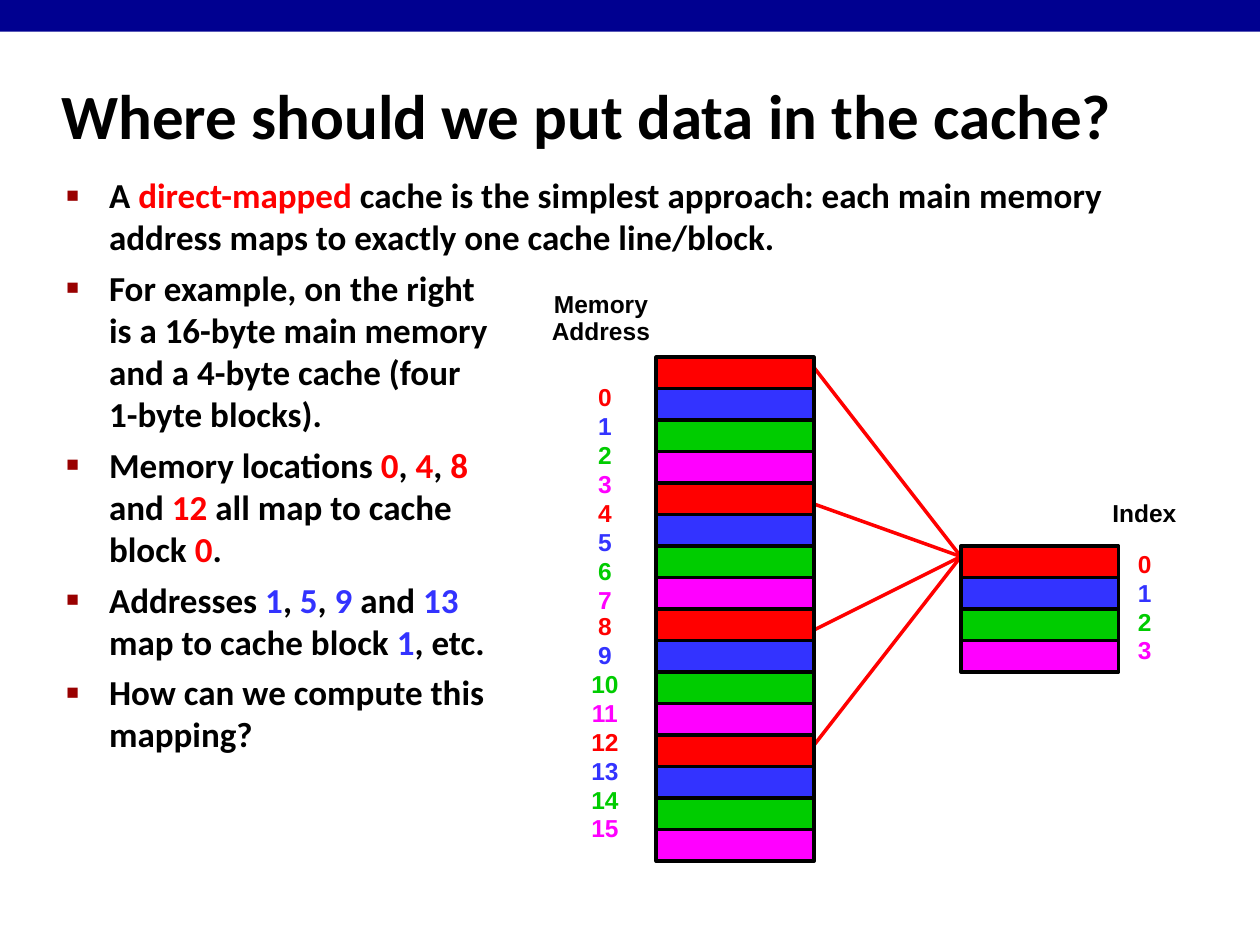
"""Build a slide that explains direct-mapped cache placement."""
from dataclasses import dataclass

from lxml.etree import SubElement
from pptx import Presentation
from pptx.dml.color import RGBColor as Color
from pptx.enum.shapes import MSO_CONNECTOR as Connector, MSO_SHAPE as Shape
from pptx.enum.text import MSO_ANCHOR as Anchor, PP_ALIGN as Align
from pptx.oxml.ns import qn
from pptx.util import Cm, Pt


@dataclass(frozen=True)
class Theme:
    black: str = "000000"
    red: str = "FF0000"
    blue: str = "3333FF"
    banner: str = "000090"
    bullet: str = "990000"
    blocks: tuple = ("FF0000", "3333FF", "00CC00", "FF00FF")
    text_font: str = "Calibri"
    label_font: str = "Arial"
    title_size: int = 36
    body_size: int = 20
    label_size: int = 14
    line_width: int = 2


class SlideBuilder:
    def __init__(self, slide, theme):
        self.shapes = slide.shapes
        self.theme = theme

    def style(self, font, name, size, color):
        font.name, font.size, font.bold = name, Pt(size), True
        font.color.rgb = Color.from_string(color)

    def rectangle(self, left, top, width, height, fill, outline=None):
        box = self.shapes.add_shape(Shape.RECTANGLE, Cm(left), Cm(top), Cm(width), Cm(height))
        box.shadow.inherit = False
        box.fill.solid()
        box.fill.fore_color.rgb = Color.from_string(fill)
        if outline:
            box.line.color.rgb = Color.from_string(outline)
            box.line.width = Pt(self.theme.line_width)
        else:
            box.line.fill.background()

    def block_stack(self, left, top, width, height, count):
        step = height / count
        for index in range(count):
            fill = self.theme.blocks[index % len(self.theme.blocks)]
            self.rectangle(left, top + index * step, width, step, fill, self.theme.black)

    def line(self, start, end, color):
        link = self.shapes.add_connector(Connector.STRAIGHT, *map(Cm, start + end))
        link.line.color.rgb = Color.from_string(color)
        link.line.width = Pt(self.theme.line_width)
        SubElement(link._element.spPr, qn("a:effectLst"))

    def text_frame(self, left, top, width, height, anchor, wrap):
        box = self.shapes.add_textbox(Cm(left), Cm(top), Cm(width), Cm(height))
        frame = box.text_frame
        frame.word_wrap = wrap
        frame.vertical_anchor = anchor
        return frame

    def paragraphs(self, frame, items):
        for index, item in enumerate(items):
            yield (frame.add_paragraph() if index else frame.paragraphs[0]), index, item

    def title(self, text, left, top, width, height):
        frame = self.text_frame(left, top, width, height, Anchor.MIDDLE, True)
        para = frame.paragraphs[0]
        para.text = text
        self.style(para.font, self.theme.text_font, self.theme.title_size, self.theme.black)

    def labels(self, texts, left, top, width, height, colors, spaced=()):
        frame = self.text_frame(left, top, width, height, Anchor.MIDDLE, False)
        for para, index, text in self.paragraphs(frame, texts):
            para.text = text
            para.alignment = Align.CENTER
            para.line_spacing = 0.9
            if index in spaced:
                para.space_before = Pt(1.4)
            color = colors[index % len(colors)]
            self.style(para.font, self.theme.label_font, self.theme.label_size, color)

    def add_bullet(self, para):
        props = para._p.get_or_add_pPr()
        props.set("marL", str(Cm(0.86)))
        props.set("indent", str(-Cm(0.86)))
        color = SubElement(props, qn("a:buClr"))
        SubElement(color, qn("a:srgbClr"), val=self.theme.bullet)
        SubElement(props, qn("a:buSzPct"), val="60000")
        SubElement(props, qn("a:buFont"), typeface=self.theme.label_font)
        SubElement(props, qn("a:buChar"), char="■")

    def bullets(self, items, left, top, width, height):
        """Write bullets whose starred words take the accent colour."""
        frame = self.text_frame(left, top, width, height, Anchor.TOP, True)
        for para, index, (accent, lines) in self.paragraphs(frame, items):
            self.add_bullet(para)
            if index:
                para.space_before = Pt(5)
            self.style(para.font, self.theme.text_font, self.theme.body_size, self.theme.black)
            for number, line in enumerate(lines):
                if number:
                    para.add_line_break()
                for part, text in enumerate(line.split("*")):
                    if text:
                        span = para.add_run()
                        span.text = text
                        if part % 2:
                            span.font.color.rgb = Color.from_string(accent)


def main():
    theme = Theme()
    deck = Presentation()
    deck.slide_width, deck.slide_height = Cm(25.4), Cm(19.05)
    page = SlideBuilder(deck.slides.add_slide(deck.slide_layouts[6]), theme)

    page.rectangle(0, 0, 25.4, 0.64, theme.banner)
    page.title("Where should we put data in the cache?", 0.99, 1.25, 23.14, 2.11)
    page.bullets([
        (theme.red, ["A *direct-mapped* cache is the simplest approach: each main memory "
                     "address maps to exactly one cache line/block."]),
        (theme.red, ["For example, on the right", "is a 16-byte main memory",
                     "and a 4-byte cache (four", "1-byte blocks)."]),
        (theme.red, ["Memory locations *0*, *4*, *8*", "and *12* all map to cache",
                     "block *0*."]),
        (theme.blue, ["Addresses *1*, *5*, *9* and *13*", "map to cache block *1*, etc."]),
        (theme.red, ["How can we compute this", "mapping?"]),
    ], 1.09, 3.38, 21.95, 14.2)

    memory_left, cache_left, block_width = 13.23, 19.37, 3.18
    for address_top in (7.41, 10.16, 12.7, 15.02):
        page.line((cache_left, 11.22), (memory_left + block_width, address_top), theme.red)
    page.block_stack(memory_left, 7.2, block_width, 10.16, 16)
    page.block_stack(cache_left, 11.01, block_width, 2.54, 4)

    addresses = [str(number) for number in range(16)]
    spaced = set(range(1, 16)) - {8}
    page.labels(["Memory", "Address"], 10.87, 5.77, 2.49, 1.32, [theme.black])
    page.labels(addresses, 11.66, 7.65, 1.07, 9.47, theme.blocks, spaced)
    page.labels(["Index"], 22.17, 9.98, 1.8, 0.79, [theme.black])
    page.labels(addresses[:4], 22.68, 11, 0.79, 2.54, theme.blocks, spaced)
    deck.save("out.pptx")


if __name__ == "__main__":
    main()
